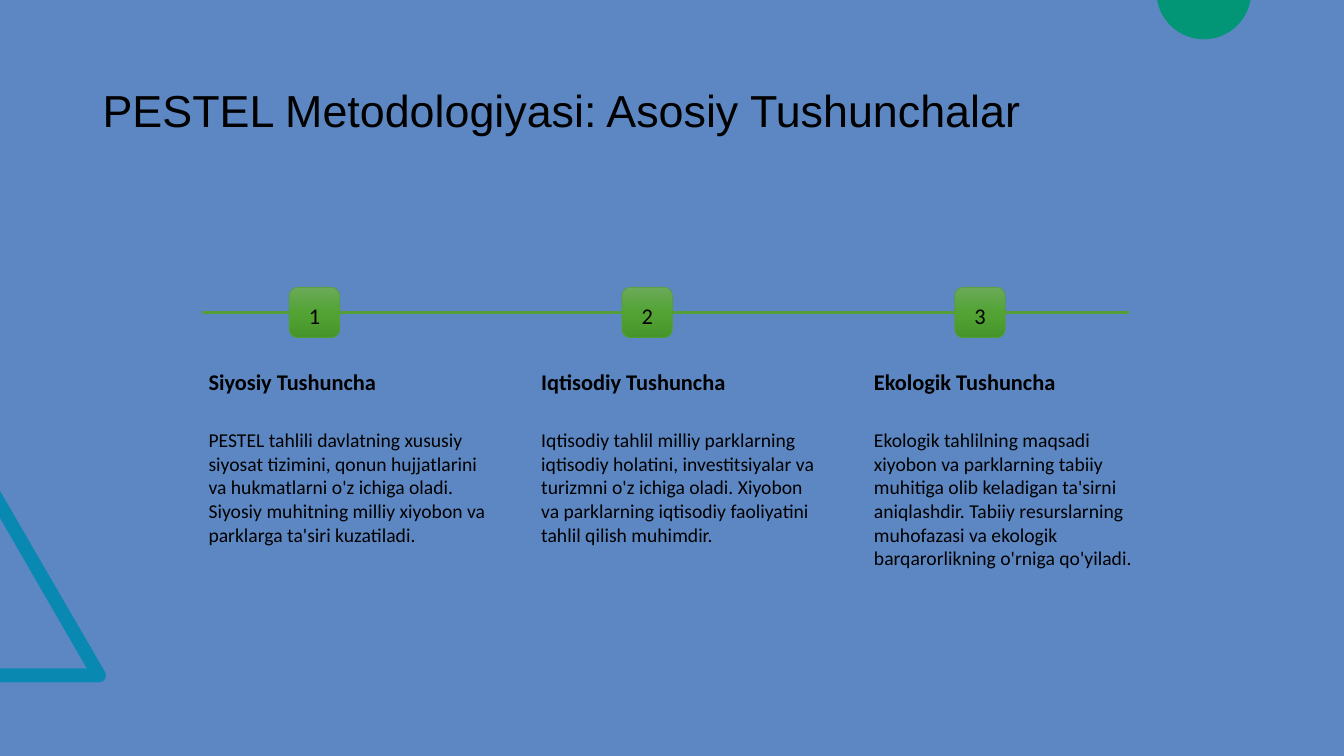
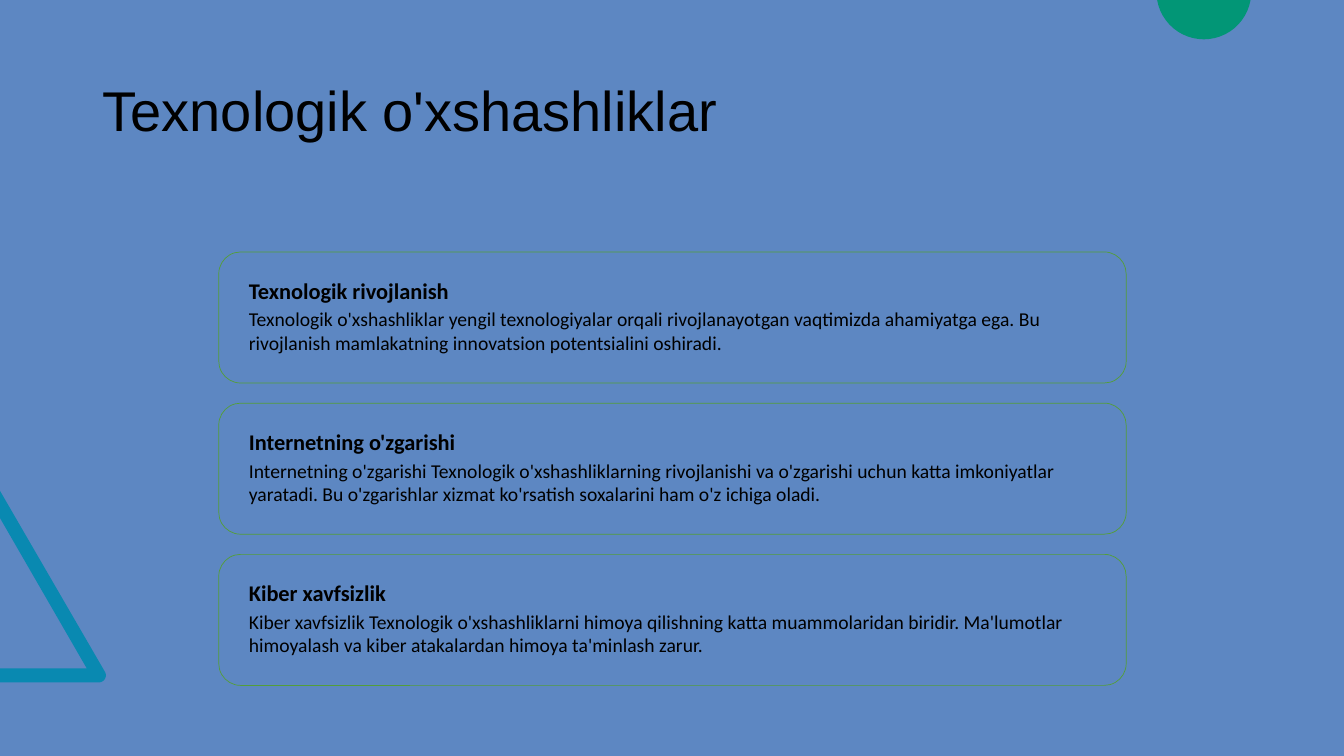
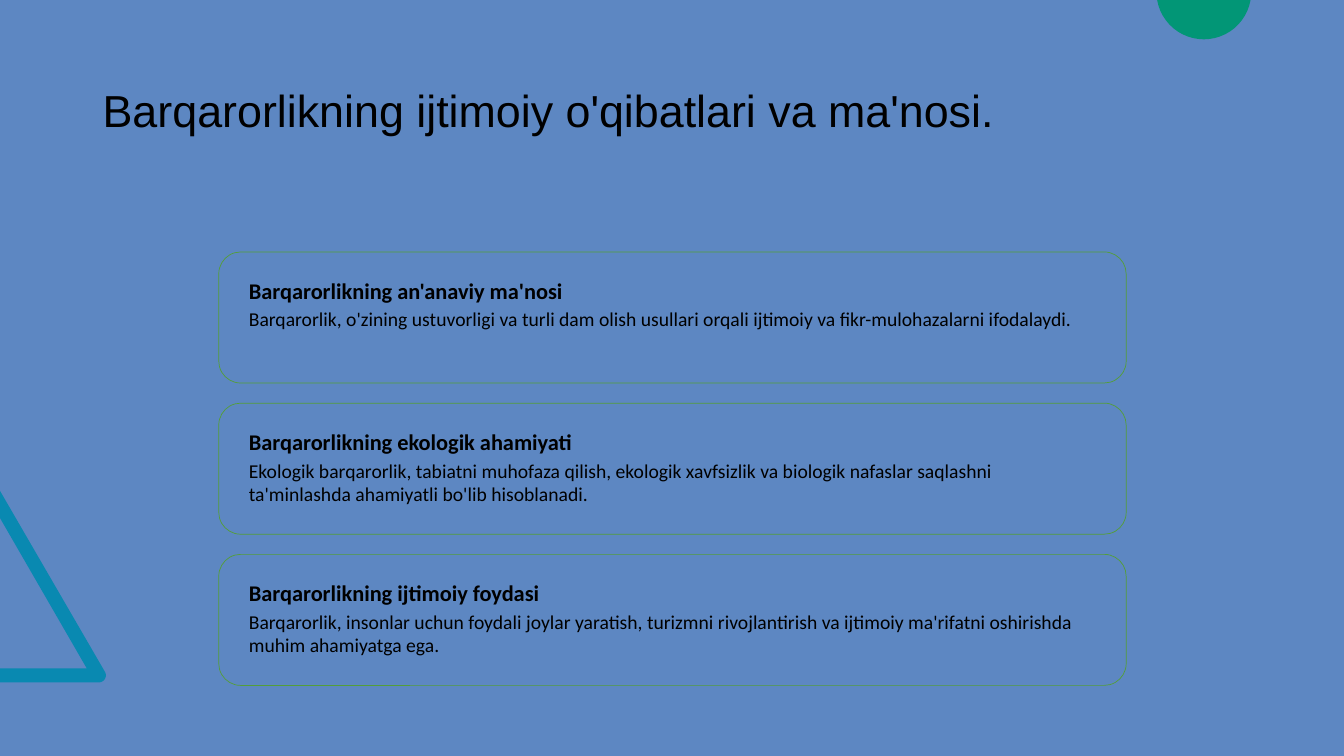
"""Build three PESTEL slides: a numbered timeline and two sets of cards."""
import math

import pptx
import pptx.util
import pptx.oxml
import pptx.oxml.ns
import pptx.dml.color
import pptx.enum.shapes
import pptx.enum.text

Inches = pptx.util.Inches
Pt = pptx.util.Pt
RGBColor = pptx.dml.color.RGBColor
SHAPE = pptx.enum.shapes.MSO_SHAPE
ALIGN = pptx.enum.text.PP_ALIGN
ANCHOR = pptx.enum.text.MSO_ANCHOR

BLUE = RGBColor(0x5D, 0x87, 0xC2)
TEAL = RGBColor(0x09, 0x89, 0xB1)
JADE = RGBColor(0x02, 0x96, 0x76)
GREEN = RGBColor(0x54, 0x9E, 0x39)
BLACK = RGBColor(0, 0, 0)
SHADES = ((0, "6BAA59"), (50, "52A334"), (100, "46952A"))

STEPS = (
    ("Siyosiy Tushuncha",
     "PESTEL tahlili davlatning xususiy siyosat tizimini, qonun hujjatlarini va hukmatlarni o'z ichiga oladi. "
     "Siyosiy muhitning milliy xiyobon va parklarga ta'siri kuzatiladi."),
    ("Iqtisodiy Tushuncha",
     "Iqtisodiy tahlil milliy parklarning iqtisodiy holatini, investitsiyalar va turizmni o'z ichiga oladi. "
     "Xiyobon va parklarning iqtisodiy faoliyatini tahlil qilish muhimdir."),
    ("Ekologik Tushuncha",
     "Ekologik tahlilning maqsadi xiyobon va parklarning tabiiy muhitiga olib keladigan ta'sirni aniqlashdir. "
     "Tabiiy resurslarning muhofazasi va ekologik barqarorlikning o'rniga qo'yiladi."),
)
TECH = (
    ("Texnologik rivojlanish",
     "Texnologik o'xshashliklar yengil texnologiyalar orqali rivojlanayotgan vaqtimizda ahamiyatga ega. "
     "Bu rivojlanish mamlakatning innovatsion potentsialini oshiradi."),
    ("Internetning o'zgarishi",
     "Internetning o'zgarishi Texnologik o'xshashliklarning rivojlanishi va o'zgarishi uchun katta imkoniyatlar "
     "yaratadi. Bu o'zgarishlar xizmat ko'rsatish soxalarini ham o'z ichiga oladi."),
    ("Kiber xavfsizlik",
     "Kiber xavfsizlik Texnologik o'xshashliklarni himoya qilishning katta muammolaridan biridir. "
     "Ma'lumotlar himoyalash va kiber atakalardan himoya ta'minlash zarur."),
)
SOCIAL = (
    ("Barqarorlikning an'anaviy ma'nosi",
     "Barqarorlik, o'zining ustuvorligi va turli dam olish usullari orqali ijtimoiy va fikr-mulohazalarni "
     "ifodalaydi."),
    ("Barqarorlikning ekologik ahamiyati",
     "Ekologik barqarorlik, tabiatni muhofaza qilish, ekologik xavfsizlik va biologik nafaslar saqlashni "
     "ta'minlashda ahamiyatli bo'lib hisoblanadi."),
    ("Barqarorlikning ijtimoiy foydasi",
     "Barqarorlik, insonlar uchun foydali joylar yaratish, turizmni rivojlantirish va ijtimoiy ma'rifatni "
     "oshirishda muhim ahamiyatga ega."),
)


def style(para, text, size, face="Calibri", bold=False):
    para.text = text
    para.alignment = ALIGN.LEFT
    font = para.font
    font.name, font.size, font.bold = face, Pt(size), bold
    font.color.rgb = BLACK


def add_text(slide, text, left, top, width, height, size, **look):
    box = slide.shapes.add_textbox(Inches(left), Inches(top), Inches(width), Inches(height))
    box.text_frame.word_wrap = True
    style(box.text_frame.paragraphs[0], text, size, **look)
    return box.text_frame


def arc(x, y, radius, start, end, count=24):
    turns = (math.radians(start + (end - start) * i / count) for i in range(count + 1))
    return [(x + radius * math.cos(turn), y + radius * math.sin(turn)) for turn in turns]


def add_form(slide, points, color):
    spots = [(Inches(x), Inches(y)) for x, y in points]
    pen = slide.shapes.build_freeform(*spots[0], scale=1.0)
    pen.add_line_segments(spots[1:], close=True)
    form = pen.convert_to_shape()
    form.shadow.inherit = False
    form.fill.solid()
    form.fill.fore_color.rgb = color
    form.line.fill.background()


def add_slide(deck, title, size):
    slide = deck.slides.add_slide(deck.slide_layouts[6])
    slide.background.fill.solid()
    slide.background.fill.fore_color.rgb = BLUE
    edge = [(0, 6.77), (0, 6.63), (0.86, 6.63), (0, 5.14), (0, 4.87)]
    add_form(slide, edge + arc(0.98, 6.7, 0.07, -30, 90), TEAL)
    add_form(slide, arc(11.94, -0.08, 0.47, 9.8, 170.2), JADE)
    frame = add_text(slide, title, 0.92, 0.4, 11.5, 1.45, size, face="Arial")
    frame.vertical_anchor = ANCHOR.MIDDLE
    frame.paragraphs[0].line_spacing = 0.9
    return slide


def add_box(slide, left, top, width, height):
    box = slide.shapes.add_shape(
        SHAPE.ROUNDED_RECTANGLE, Inches(left), Inches(top), Inches(width), Inches(height))
    box.shadow.inherit = False
    box.fill.background()
    box.line.color.rgb = GREEN
    box.line.width = Pt(0.5)
    return box


def shade(box):
    stops = "".join(
        f'<a:gs pos="{spot * 1000}"><a:srgbClr val="{color}"/></a:gs>' for spot, color in SHADES)
    grad = pptx.oxml.parse_xml(
        f'<a:gradFill {pptx.oxml.ns.nsdecls("a")}><a:gsLst>{stops}</a:gsLst>'
        '<a:lin ang="5400000" scaled="0"/></a:gradFill>')
    props = box._element.spPr
    props.replace(props.find(pptx.oxml.ns.qn("a:noFill")), grad)


def add_badge(slide, number, left, top):
    box = add_box(slide, left, top, 0.5, 0.5)
    shade(box)
    frame = box.text_frame
    frame.vertical_anchor = ANCHOR.TOP
    frame.margin_left, frame.margin_top = Inches(0.17), Inches(0.12)
    frame.margin_right = frame.margin_bottom = 0
    style(frame.paragraphs[0], str(number), 16)


def add_rule(slide, left, right, top):
    rule = slide.shapes.add_connector(
        pptx.enum.shapes.MSO_CONNECTOR.STRAIGHT, Inches(left), Inches(top), Inches(right), Inches(top))
    rule.line.color.rgb = GREEN
    rule.line.width = Pt(2)
    rule._element.spPr.append(pptx.oxml.parse_xml(f'<a:effectLst {pptx.oxml.ns.nsdecls("a")}/>'))


def add_steps(slide, steps):
    add_rule(slide, 2, 11.2, 3.1)
    for i, (head, body) in enumerate(steps):
        left = 1.97 + 3.3 * i
        add_badge(slide, i + 1, left + 0.9, 2.85)
        add_text(slide, head, left, 3.6, 2.7, 0.36, 16, bold=True)
        add_text(slide, body, left, 4.2, 3, 1.43, 14)


def add_cards(slide, cards):
    for i, (head, body) in enumerate(cards):
        top = 2.5 + 1.5 * i
        add_box(slide, 2.17, top, 9, 1.3)
        add_text(slide, head, 2.37, top + 0.2, 8.6, 0.36, 16, bold=True)
        add_text(slide, body, 2.37, top + 0.5, 8.6, 0.54, 14)


def main():
    deck = pptx.Presentation()
    deck.slide_width, deck.slide_height = Inches(13.33), Inches(7.5)
    add_steps(add_slide(deck, "PESTEL Metodologiyasi: Asosiy Tushunchalar", 32), STEPS)
    add_cards(add_slide(deck, "Texnologik o'xshashliklar", 40), TECH)
    add_cards(add_slide(deck, "Barqarorlikning ijtimoiy o'qibatlari va ma'nosi.", 32), SOCIAL)
    deck.save("out.pptx")


if __name__ == "__main__":
    main()
